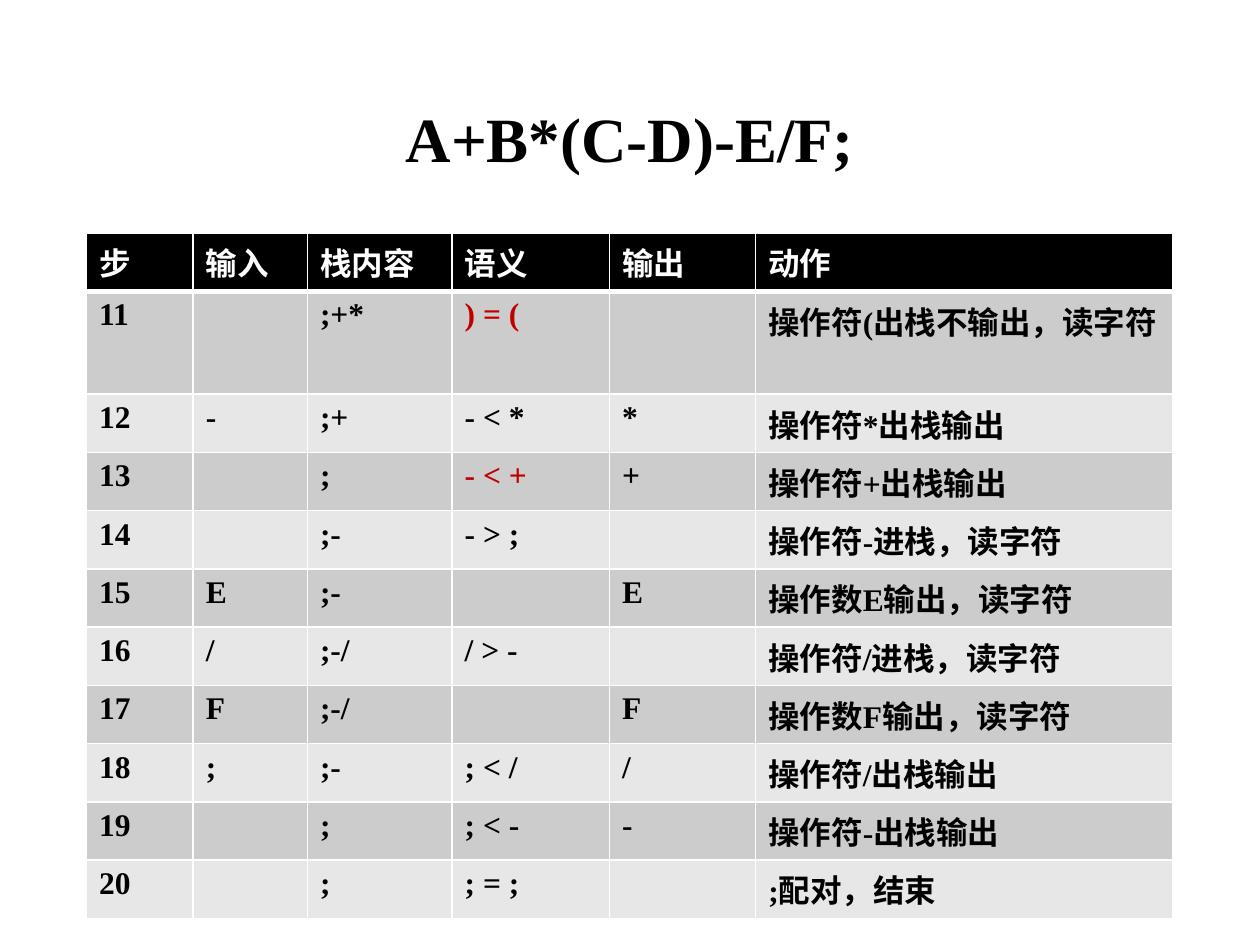
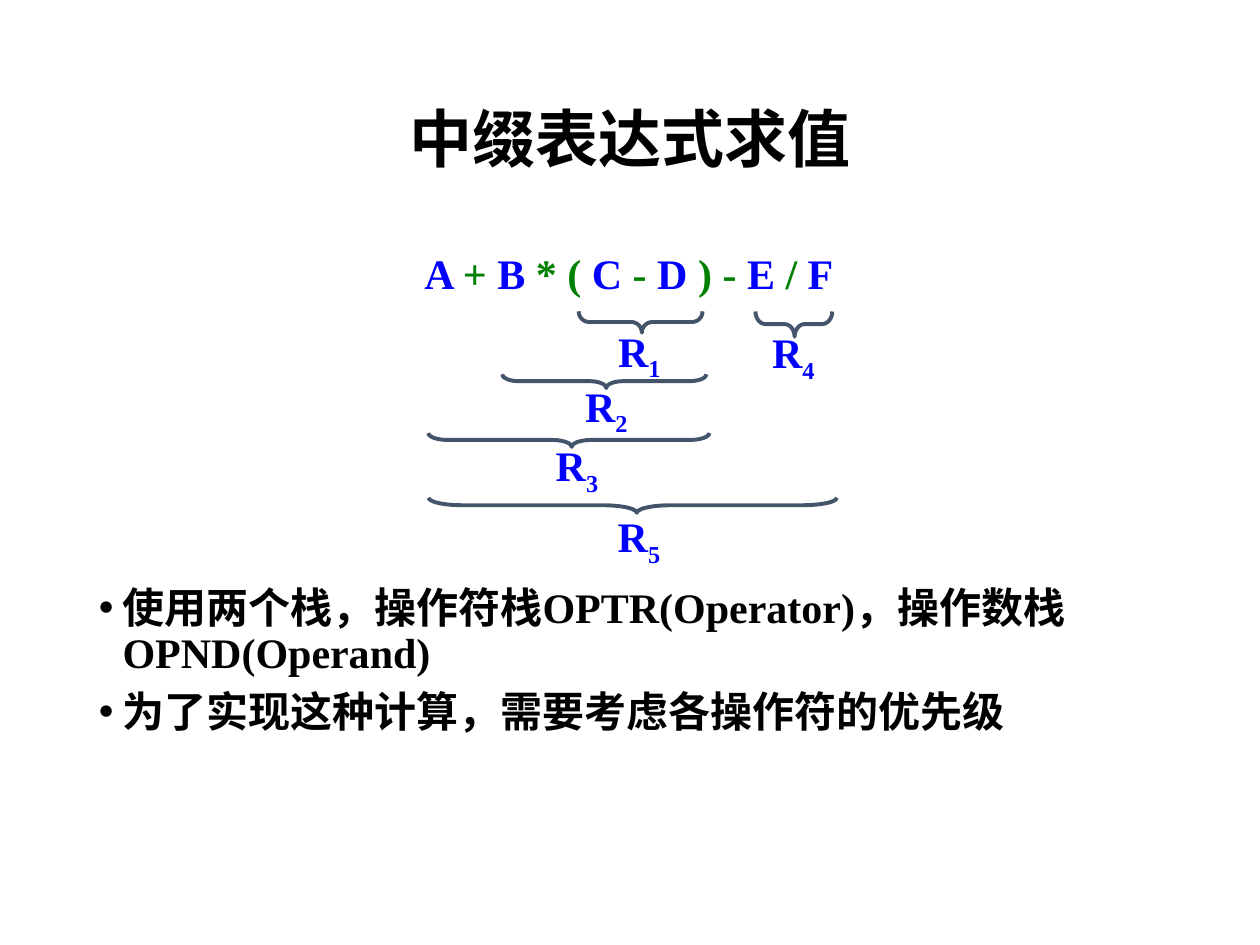
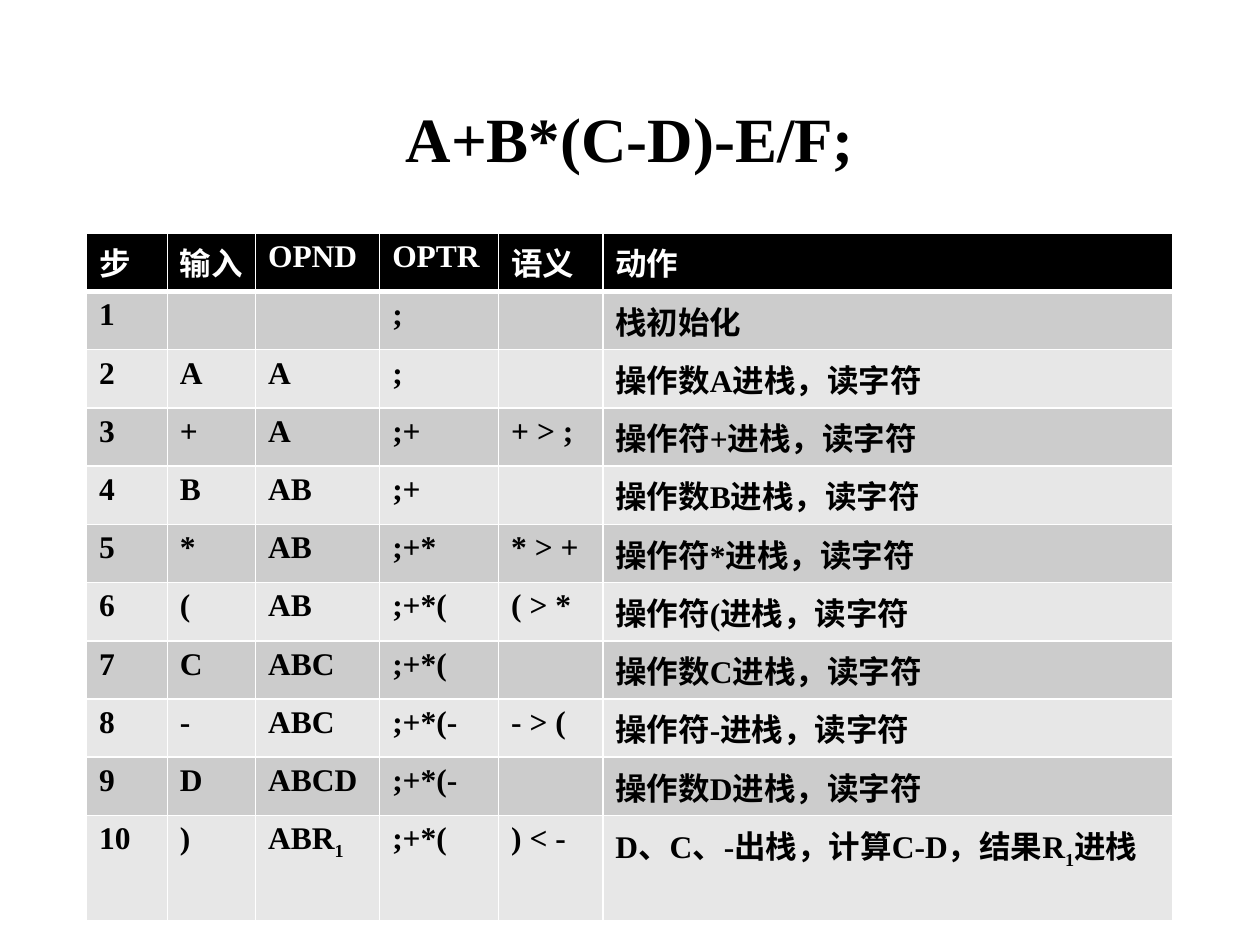
from dataclasses import dataclass
from typing import Any

import pptx
import pptx.dml.color
import pptx.enum.shapes
import pptx.enum.text
import pptx.oxml
import pptx.oxml.ns
import pptx.util

Pt = pptx.util.Pt
RGB = pptx.dml.color.RGBColor.from_string
Anchor = pptx.enum.text.MSO_ANCHOR
Align = pptx.enum.text.PP_ALIGN
AutoSize = pptx.enum.text.MSO_AUTO_SIZE
BRACE = pptx.enum.shapes.MSO_SHAPE.LEFT_BRACE
NSDECLS = pptx.oxml.ns.nsdecls("a")


@dataclass(frozen=True)
class Theme:
    latin: str = "Times New Roman"
    cjk: str = "Noto Sans CJK SC"
    black: str = "000000"
    white: str = "FFFFFF"
    bands: tuple[str, str] = ("CCCCCC", "E7E7E7")
    red: str = "C00000"
    operand: str = "0000FF"
    operator: str = "008000"
    brace: str = "44546A"
    title_size: float = 36
    body_size: float = 24
    table_size: float = 18
    rule: float = 1
    header_rule: float = 3


THEME = Theme()
LEFT, WIDTH = 49.5, 621


@dataclass(frozen=True)
class Box:
    left: float
    top: float
    width: float
    height: float

    def lengths(self) -> tuple[Any, ...]:
        return Pt(self.left), Pt(self.top), Pt(self.width), Pt(self.height)


@dataclass(frozen=True)
class StepTable:
    """A trace of steps; the action of one row runs over two lines."""
    columns: tuple[float, ...]
    two_line_row: int
    two_line_height: float
    rows: list[tuple[str, ...]]
    red_cells: frozenset[tuple[int, int]] = frozenset()


@dataclass(frozen=True)
class SubResult:
    """A brace, given by its centre, span and depth, and the label under it."""
    name: str
    center_x: float
    center_y: float
    span: float
    depth: float
    curl: float
    label_left: float
    label_top: float


TITLE_BOX = Box(LEFT, 28.75, WIDTH, 104.4)
ROW_HEIGHT = 33.3
TABLE_BOX = Box(LEFT, 133.2, WIDTH, 11 * ROW_HEIGHT)
BODY_BOX = Box(LEFT, 332, WIDTH, 154)
FORMULA_BOX = Box(230.8, 137.9, 260.6, 36.35)
LABEL_WIDTH, LABEL_HEIGHT = 40.3, 36.35

EXPRESSION = "A+B*(C-D)-E/F;"
FORMULA = [" A ", "+", " B ", "* (", " C ", "-", " D ", ") -", " E ", "/", " F"]
BULLETS = [
    "使用两个栈，操作符栈OPTR(Operator)，操作数栈OPND(Operand)",
    "为了实现这种计算，需要考虑各操作符的优先级",
]
SUB_RESULTS = [
    SubResult("R_1", 366.1, 184, 70.8, 12.2, 0.49, 346.1, 182.2),
    SubResult("R_2", 345.3, 217.8, 116.6, 7.9, 1.19, 327.3, 213.8),
    SubResult("R_3", 325.1, 251.4, 160.6, 7.9, 1.4, 310.5, 247.8),
    SubResult("R_4", 453.6, 185.2, 43.9, 14.4, 0.4, 434.1, 183.2),
    SubResult("R_5", 361.6, 288.7, 233.3, 8.6, 2.27, 345.9, 288.3),
]

INFIX_TO_POSTFIX = StepTable(
    (60.9, 65.3, 82.7, 90, 83.5, 238.2), 1, 58.8,
    [
        ("步", "输入", "栈内容", "语义", "输出", "动作"),
        ("11", "", ";+*", ") = (", "", "操作符(出栈不输出，读字符"),
        ("12", "-", ";+", "- < *", "*", "操作符*出栈输出"),
        ("13", "", ";", "- < +", "+", "操作符+出栈输出"),
        ("14", "", ";-", "- > ;", "", "操作符-进栈，读字符"),
        ("15", "E", ";-", "", "E", "操作数E输出，读字符"),
        ("16", "/", ";-/", "/ > -", "", "操作符/进栈，读字符"),
        ("17", "F", ";-/", "", "F", "操作数F输出，读字符"),
        ("18", ";", ";-", "; < /", "/", "操作符/出栈输出"),
        ("19", "", ";", "; < -", "-", "操作符-出栈输出"),
        ("20", "", ";", "; = ;", "", ";配对，结束"),
    ],
    frozenset({(1, 3), (3, 3)}),
)
EVALUATION = StepTable(
    (46.1, 50.4, 71, 68, 59.5, 326), 10, 60.3,
    [
        ("步", "输入", "OPND", "OPTR", "语义", "动作"),
        ("1", "", "", ";", "", "栈初始化"),
        ("2", "A", "A", ";", "", "操作数A进栈，读字符"),
        ("3", "+", "A", ";+", "+ > ;", "操作符+进栈，读字符"),
        ("4", "B", "AB", ";+", "", "操作数B进栈，读字符"),
        ("5", "*", "AB", ";+*", "* > +", "操作符*进栈，读字符"),
        ("6", "(", "AB", ";+*(", "( > *", "操作符(进栈，读字符"),
        ("7", "C", "ABC", ";+*(", "", "操作数C进栈，读字符"),
        ("8", "-", "ABC", ";+*(-", "- > (", "操作符-进栈，读字符"),
        ("9", "D", "ABCD", ";+*(-", "", "操作数D进栈，读字符"),
        ("10", ")", "ABR_1", ";+*(", ") < -", "D、C、-出栈，计算C-D，结果R_1进栈"),
    ],
)


def assign(target: Any, values: dict[str, Any]) -> None:
    for name, value in values.items():
        setattr(target, name, value)


def add_run(p: Any, text: str, size: float, color: str,
            latin: str = THEME.latin, subscript: bool = False) -> None:
    r = p.add_run()
    r.text = text
    assign(r.font, {"name": latin, "size": Pt(size), "bold": True})
    r.font.color.rgb = RGB(color)
    props = r.font.fill._xPr
    props.find(pptx.oxml.ns.qn("a:latin")).addnext(
        pptx.oxml.parse_xml(f'<a:ea {NSDECLS} typeface="{THEME.cjk}"/>'))
    if subscript:
        props.set("baseline", "-25000")


def add_marked_text(p: Any, text: str, size: float, color: str) -> None:
    """Write text in which an underscore lowers the one character after it."""
    base, _, rest = text.partition("_")
    for part, subscript in ((base, False), (rest[:1], True), (rest[1:], False)):
        if part:
            add_run(p, part, size, color, subscript=subscript)


def add_text_frame(s: Any, box: Box, **values: Any) -> Any:
    tf = s.shapes.add_textbox(*box.lengths()).text_frame
    assign(tf, {"word_wrap": True, **values})
    return tf


def add_tight_frame(s: Any, box: Box) -> Any:
    return add_text_frame(s, box, word_wrap=False, auto_size=AutoSize.SHAPE_TO_FIT_TEXT)


def add_titled_slide(prs: Any, title: str, latin: str = THEME.latin) -> Any:
    s = prs.slides.add_slide(prs.slide_layouts[6])
    p = add_text_frame(s, TITLE_BOX, vertical_anchor=Anchor.MIDDLE).paragraphs[0]
    assign(p, {"alignment": Align.CENTER, "line_spacing": 0.9})
    add_run(p, title, THEME.title_size, THEME.black, latin)
    return s


def set_borders(cell: Any, top: float, bottom: float) -> None:
    widths = {"lnL": THEME.rule, "lnR": THEME.rule, "lnT": top, "lnB": bottom}
    props = cell._tc.get_or_add_tcPr()
    for index, (tag, width) in enumerate(widths.items()):
        props.insert(index, pptx.oxml.parse_xml(
            f'<a:{tag} {NSDECLS} w="{Pt(width)}"><a:solidFill>'
            f'<a:srgbClr val="{THEME.white}"/></a:solidFill></a:{tag}>'))


def add_step_table(s: Any, steps: StepTable) -> None:
    table = s.shapes.add_table(
        len(steps.rows), len(steps.columns), *TABLE_BOX.lengths()).table
    assign(table, {"first_row": True, "horz_banding": False})
    for column, width in zip(table.columns, steps.columns):
        column.width = Pt(width)
    table.rows[steps.two_line_row].height = Pt(steps.two_line_height)
    for i, row in enumerate(steps.rows):
        header = i == 0
        fill = THEME.black if header else THEME.bands[(i - 1) % 2]
        for j, text in enumerate(row):
            cell = table.cell(i, j)
            cell.fill.solid()
            cell.fill.fore_color.rgb = RGB(fill)
            set_borders(cell, THEME.header_rule if i == 1 else THEME.rule,
                        THEME.header_rule if header else THEME.rule)
            color = THEME.white if header else THEME.black
            if (i, j) in steps.red_cells:
                color = THEME.red
            p = cell.text_frame.paragraphs[0]
            p.font.size = Pt(THEME.table_size)
            add_marked_text(p, text, THEME.table_size, color)


def add_sub_result(s: Any, result: SubResult) -> None:
    box = Box(result.center_x - result.depth / 2, result.center_y - result.span / 2,
              result.depth, result.span)
    sp = s.shapes.add_shape(BRACE, *box.lengths())
    sp.rotation = 270
    sp.adjustments[0] = result.curl
    sp.adjustments[1] = 0.51
    sp.shadow.inherit = False
    sp.fill.background()
    sp.line.color.rgb = RGB(THEME.brace)
    sp.line.width = Pt(2.25)
    label = Box(result.label_left, result.label_top, LABEL_WIDTH, LABEL_HEIGHT)
    add_marked_text(add_tight_frame(s, label).paragraphs[0], result.name,
                    THEME.body_size, THEME.operand)


def add_formula(s: Any) -> None:
    """Write the expression, where operands and operators alternate."""
    p = add_tight_frame(s, FORMULA_BOX).paragraphs[0]
    for i, part in enumerate(FORMULA):
        add_run(p, part, THEME.body_size, THEME.operator if i % 2 else THEME.operand)


def add_bullets(s: Any) -> None:
    tf = add_text_frame(s, BODY_BOX)
    for i, text in enumerate(BULLETS):
        p = tf.add_paragraph() if i else tf.paragraphs[0]
        assign(p, {"line_spacing": 0.9, "space_before": Pt(7.5)})
        props = p._p.get_or_add_pPr()
        props.set("marL", str(Pt(13.5)))
        props.set("indent", str(-Pt(13.5)))
        for xml in (f'<a:buFont {NSDECLS} typeface="Arial"/>',
                    f'<a:buChar {NSDECLS} char="•"/>'):
            props.append(pptx.oxml.parse_xml(xml))
        add_run(p, text, THEME.body_size, THEME.black)


def main() -> None:
    prs = pptx.Presentation()
    assign(prs, {"slide_width": Pt(720), "slide_height": Pt(540)})

    add_step_table(add_titled_slide(prs, EXPRESSION), INFIX_TO_POSTFIX)

    s = add_titled_slide(prs, "中缀表达式求值", THEME.cjk)
    add_bullets(s)
    for result in SUB_RESULTS:
        add_sub_result(s, result)
    add_formula(s)

    add_step_table(add_titled_slide(prs, EXPRESSION), EVALUATION)
    prs.save("out.pptx")


if __name__ == "__main__":
    main()
